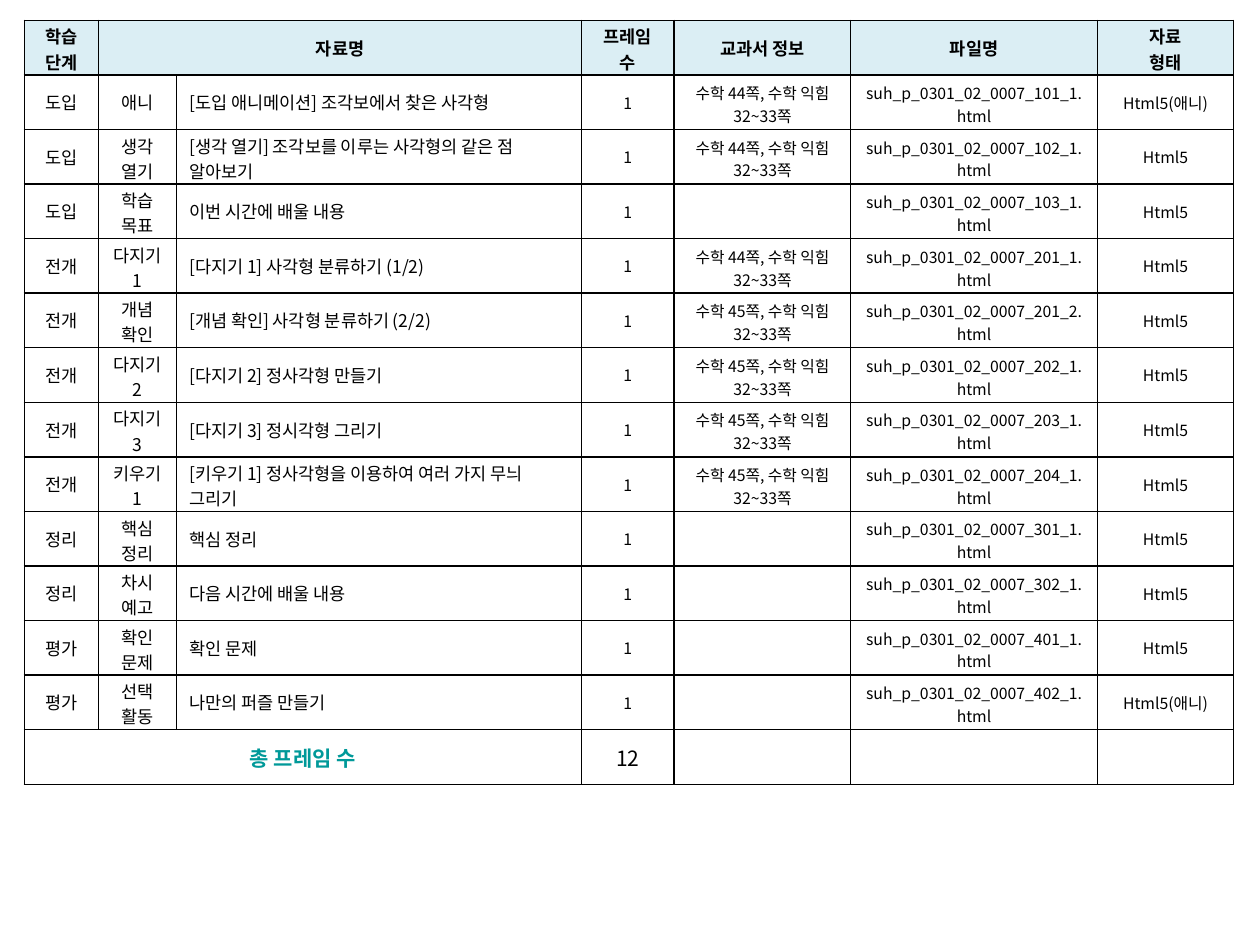
from lxml.etree import SubElement
from pptx import Presentation
from pptx.dml.color import RGBColor
from pptx.enum.text import MSO_ANCHOR, PP_ALIGN
from pptx.oxml.ns import qn
from pptx.util import Cm, Pt

COLORS = {"text": "000000", "border": "000000", "header": "DBEEF4", "body": "FFFFFF", "total": "009999"}
COLUMN_WIDTHS = [1.5, 1.57, 8.16, 1.87, 3.56, 4.97, 2.75]
LINE_CAPACITIES = [3, 3, 26, 3, 10, 20, 12]
ROW_HEIGHT = 1.1
HEADERS = ["학습 단계", "자료명", "", "프레임 수", "교과서 정보", "파일명", "자료\n형태"]
LESSONS = [
    ("도입", "애니", "[도입 애니메이션] 조각보에서 찾은 사각형", 44, "101_1", "Html5(애니)"),
    ("도입", "생각 열기", "[생각 열기] 조각보를 이루는 사각형의 같은 점 알아보기", 44, "102_1", "Html5"),
    ("도입", "학습 목표", "이번 시간에 배울 내용", None, "103_1", "Html5"),
    ("전개", "다지기 1", "[다지기 1] 사각형 분류하기 (1/2)", 44, "201_1", "Html5"),
    ("전개", "개념 확인", "[개념 확인] 사각형 분류하기 (2/2)", 45, "201_2", "Html5"),
    ("전개", "다지기 2", "[다지기 2] 정사각형 만들기", 45, "202_1", "Html5"),
    ("전개", "다지기3", "[다지기 3] 정시각형 그리기", 45, "203_1", "Html5"),
    ("전개", "키우기1", "[키우기 1] 정사각형을 이용하여 여러 가지 무늬 그리기", 45, "204_1", "Html5"),
    ("정리", "핵심 정리", "핵심 정리", None, "301_1", "Html5"),
    ("정리", "차시 예고", "다음 시간에 배울 내용", None, "302_1", "Html5"),
    ("평가", "확인 문제", "확인 문제", None, "401_1", "Html5"),
    ("평가", "선택\n활동", "나만의 퍼즐 만들기", None, "402_1", "Html5(애니)"),
]


class SlideBuilder:
    font_name = "Noto Sans CJK KR"
    two_line_margins = {9: 3.6, 10: 2}

    def __init__(self, presentation):
        self.slide = presentation.slides.add_slide(presentation.slide_layouts[6])

    def add_table(self, left, top, row_count):
        shape = self.slide.shapes.add_table(
            row_count, len(COLUMN_WIDTHS), Cm(left), Cm(top),
            Cm(sum(COLUMN_WIDTHS)), Cm(row_count * ROW_HEIGHT))
        table = shape.table
        for column, width in zip(table.columns, COLUMN_WIDTHS):
            column.width = Cm(width)
        for row in table.rows:
            row.height = Cm(ROW_HEIGHT)
        return table

    def add_borders(self, cell):
        properties = cell._tc.get_or_add_tcPr()
        for side in ("a:lnL", "a:lnR", "a:lnT", "a:lnB"):
            line = SubElement(properties, qn(side), w=str(Pt(1)))
            fill = SubElement(line, qn("a:solidFill"))
            SubElement(fill, qn("a:srgbClr"), val=COLORS["border"])

    def format_run(self, run, color, values):
        for name, value in values.items():
            setattr(run.font, name, value)
        run.font.color.rgb = RGBColor.from_string(COLORS[color])
        SubElement(run._r.get_or_add_rPr(), qn("a:ea"), typeface=self.font_name)

    def fit_two_lines(self, cell, size):
        values = {"vertical_anchor": MSO_ANCHOR.TOP, "margin_bottom": 0,
                  "margin_top": Pt(self.two_line_margins[size])}
        for name, value in values.items():
            setattr(cell, name, value)

    def fill_cell(self, cell, text, size, bold=False, color="text", fill="body",
                  align=PP_ALIGN.CENTER, two_lines=False):
        self.add_borders(cell)
        cell.fill.solid()
        cell.fill.fore_color.rgb = RGBColor.from_string(COLORS[fill])
        cell.vertical_anchor = MSO_ANCHOR.MIDDLE
        if two_lines:
            self.fit_two_lines(cell, size)
        if not text:
            return
        cell.text = text
        values = {"name": self.font_name, "size": Pt(size), "bold": bold}
        for paragraph in cell.text_frame.paragraphs:
            paragraph.alignment = align
            for run in paragraph.runs:
                self.format_run(run, color, values)


def needs_two_lines(text, column):
    return "\n" in text or len(text) > LINE_CAPACITIES[column]


def lesson_texts(lesson):
    stage, activity, title, page, code, file_type = lesson
    textbook = f"수학 {page}쪽, 수학 익힘 32~33쪽" if page else ""
    return [stage, activity, title, "1", textbook, f"suh_p_0301_02_0007_{code}.html", file_type]


def main():
    presentation = Presentation()
    presentation.slide_width, presentation.slide_height = Cm(25.4), Cm(19.05)
    builder = SlideBuilder(presentation)
    table = builder.add_table(0.49, 0.41, len(LESSONS) + 2)
    total_row = len(LESSONS) + 1

    for column, text in enumerate(HEADERS):
        builder.fill_cell(table.cell(0, column), text, 10, bold=True, fill="header",
                          two_lines=needs_two_lines(text, column))
    for row, lesson in enumerate(LESSONS, start=1):
        for column, text in enumerate(lesson_texts(lesson)):
            align = PP_ALIGN.LEFT if column == 2 else PP_ALIGN.CENTER
            builder.fill_cell(table.cell(row, column), text, 10 if column < 3 else 9,
                              align=align, two_lines=needs_two_lines(text, column))
    builder.fill_cell(table.cell(total_row, 0), "총 프레임 수", 12, bold=True, color="total")
    for column in range(1, len(COLUMN_WIDTHS)):
        text = str(len(LESSONS)) if column == 3 else ""
        builder.fill_cell(table.cell(total_row, column), text, 12)

    table.cell(0, 1).merge(table.cell(0, 2))
    table.cell(total_row, 0).merge(table.cell(total_row, 2))
    presentation.save("out.pptx")


if __name__ == "__main__":
    main()
